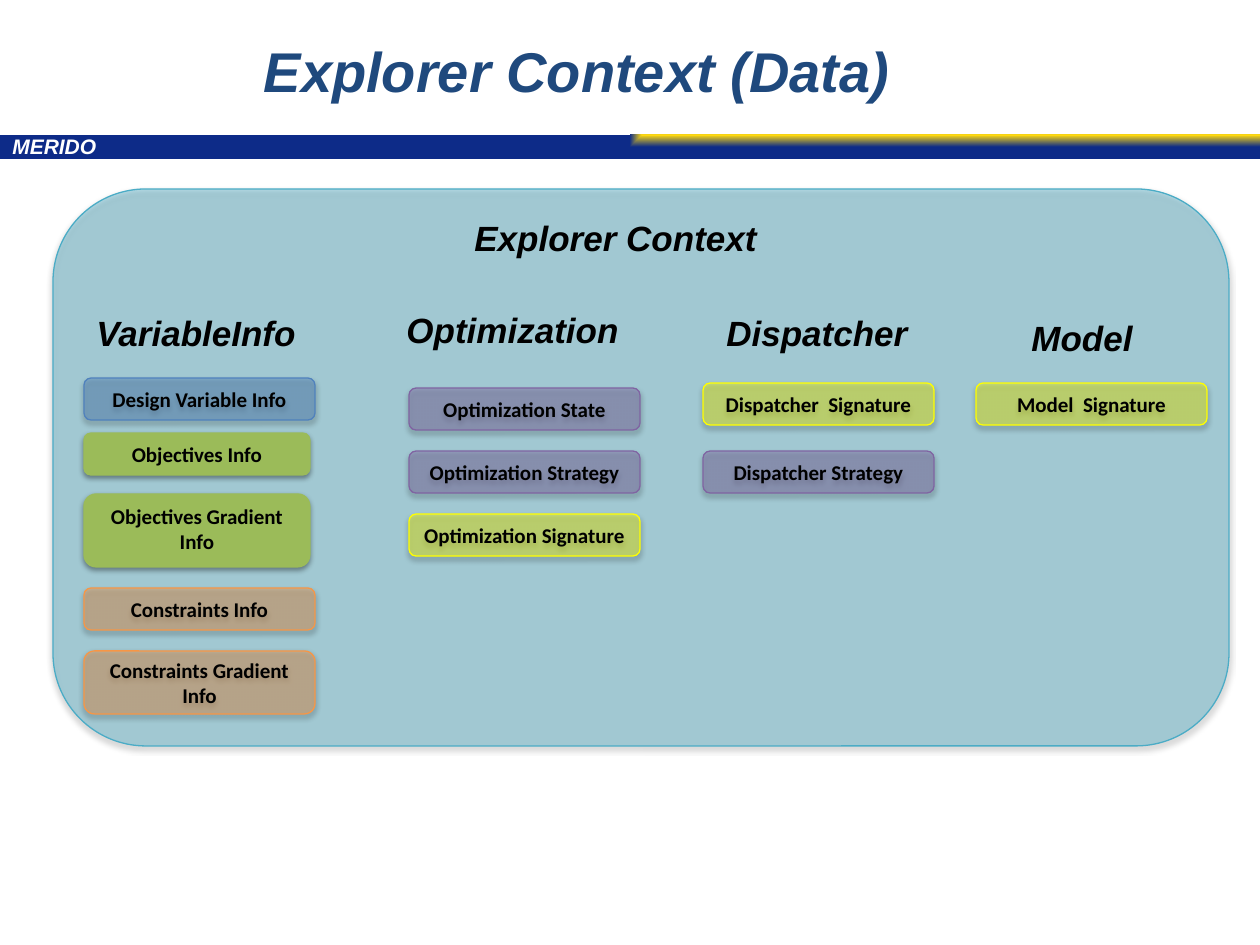
from lxml import etree
from pptx import Presentation, util as u
from pptx.dml.color import RGBColor
from pptx.enum import shapes, text
from pptx.oxml import parse_xml
from pptx.oxml.ns import nsdecls, qn

PX = 914400 / 126
BLACK, NAVY, WHITE = "000000", "1F497D", "FFFFFF"
BLUE, GREEN, ORANGE = "4F81BD", "9BBB59", "F79646"
PURPLE, YELLOW, TEAL = "8064A2", "FFFF00", "4BACC6"
BOX_WIDTH, BOX_HEIGHT = 231, 42

# heading, its left, top and width, then the left of the boxes
# each box: label, colour, top, and where needed its height
COLUMNS = [
    (("VariableInfo", 84, 305, 236), 84, [
        ("Design Variable Info", BLUE, 378),
        ("Objectives Info", GREEN, 433),
        ("Objectives Gradient Info", GREEN, 494, 73),
        ("Constraints Info", ORANGE, 588),
        ("Constraints Gradient Info", ORANGE, 651, 63)]),
    (("Optimization", 394, 302, 248), 409, [
        ("Optimization State", PURPLE, 388),
        ("Optimization Strategy", PURPLE, 451),
        ("Optimization Signature", YELLOW, 514)]),
    (("Dispatcher", 714, 305, 217), 703, [
        ("Dispatcher  Signature", YELLOW, 383),
        ("Dispatcher Strategy", PURPLE, 451)]),
    (("Model", 1019, 310, 136), 976, [
        ("Model  Signature", YELLOW, 383)]),
]


def px(*lengths):
    return [u.Emu(round(length * PX)) for length in lengths]


def rgb(value):
    return RGBColor.from_string(value)


def write(frame, words, size, color, font="Arial", italic=True, align=None):
    frame.text = words
    paragraph = frame.paragraphs[0]
    paragraph.alignment = align
    style = paragraph.font
    style.name, style.size = font, u.Pt(size)
    style.bold, style.italic = True, italic
    style.color.rgb = rgb(color)
    return paragraph


def add_label(slide, words, bounds, size, color=BLACK, wrap=False, align=None):
    frame = slide.shapes.add_textbox(*px(*bounds)).text_frame
    frame.word_wrap = wrap
    write(frame, words, size, color, align=align)
    return frame


def add_shadow(shape, opacity, distance):
    """Put a soft shadow straight below the shape."""
    shape.shadow.inherit = False
    effects = shape._element.spPr.find(qn("a:effectLst"))
    effects.append(parse_xml(
        f'<a:outerShdw {nsdecls("a")} blurRad="{u.Pt(3.1)}" dist="{u.Pt(distance)}" '
        f'dir="5400000" rotWithShape="0"><a:srgbClr val="{BLACK}">'
        f'<a:alpha val="{opacity * 1000}"/></a:srgbClr></a:outerShdw>'))


def add_panel(slide, bounds, color, solid=False):
    """Add a rounded panel, see-through unless solid."""
    panel = slide.shapes.add_shape(
        shapes.MSO_SHAPE.ROUNDED_RECTANGLE, *px(*bounds))
    panel.fill.solid()
    panel.fill.fore_color.rgb = rgb(color)
    panel.line.color.rgb = rgb(color)
    panel.line.width = u.Pt(0.75)
    if solid:
        add_shadow(panel, 38, 1.6)
    else:
        fill_color = panel._element.spPr.find(qn("a:solidFill"))[0]
        etree.SubElement(fill_color, qn("a:alpha"), val="40000")
        add_shadow(panel, 35, 1.8)
    return panel


def add_box(slide, left, label, color, top, height=BOX_HEIGHT):
    solid = color == GREEN
    width = 226 if solid else BOX_WIDTH
    box = add_panel(slide, (left, top, width, height), color, solid)
    frame = box.text_frame
    frame.word_wrap = True
    frame.vertical_anchor = text.MSO_ANCHOR.TOP if solid else text.MSO_ANCHOR.MIDDLE
    write(frame, label, 12, BLACK, "Calibri", False, text.PP_ALIGN.CENTER)


def add_banner(slide):
    banner = slide.shapes.add_shape(
        shapes.MSO_SHAPE.RECTANGLE, *px(0, 135, 1260, 24))
    banner.shadow.inherit = False
    banner.line.fill.background()
    banner._element.spPr.find(qn("a:prstGeom")).addnext(parse_xml(
        f'<a:gradFill {nsdecls("a")} rotWithShape="0"><a:gsLst>'
        '<a:gs pos="0"><a:srgbClr val="FED910"/></a:gs>'
        '<a:gs pos="100000"><a:srgbClr val="0D2B88"/></a:gs></a:gsLst>'
        '<a:path path="rect"><a:fillToRect l="100000" b="100000"/></a:path>'
        '</a:gradFill>'))
    name = add_label(slide, "MERIDO", (0, 132, 693, 33), 12, WHITE, wrap=True)
    name.paragraphs[0].line_spacing = 0.8


def main():
    deck = Presentation()
    deck.slide_width, deck.slide_height = px(1260, 945)
    slide = deck.slides.add_slide(deck.slide_layouts[6])

    add_banner(slide)
    title = add_label(slide, "Explorer Context (Data)", (136, 3, 882, 135), 32,
                      NAVY, wrap=True, align=text.PP_ALIGN.CENTER)
    title.vertical_anchor = text.MSO_ANCHOR.MIDDLE

    add_panel(slide, (53, 189, 1176, 557), TEAL)
    add_label(slide, "Explorer Context", (462, 210, 319, 55), 20)
    for (heading, left, top, width), box_left, boxes in COLUMNS:
        add_label(slide, heading, (left, top, width, 55), 20)
        for box in boxes:
            add_box(slide, box_left, *box)

    deck.save("out.pptx")


if __name__ == "__main__":
    main()
